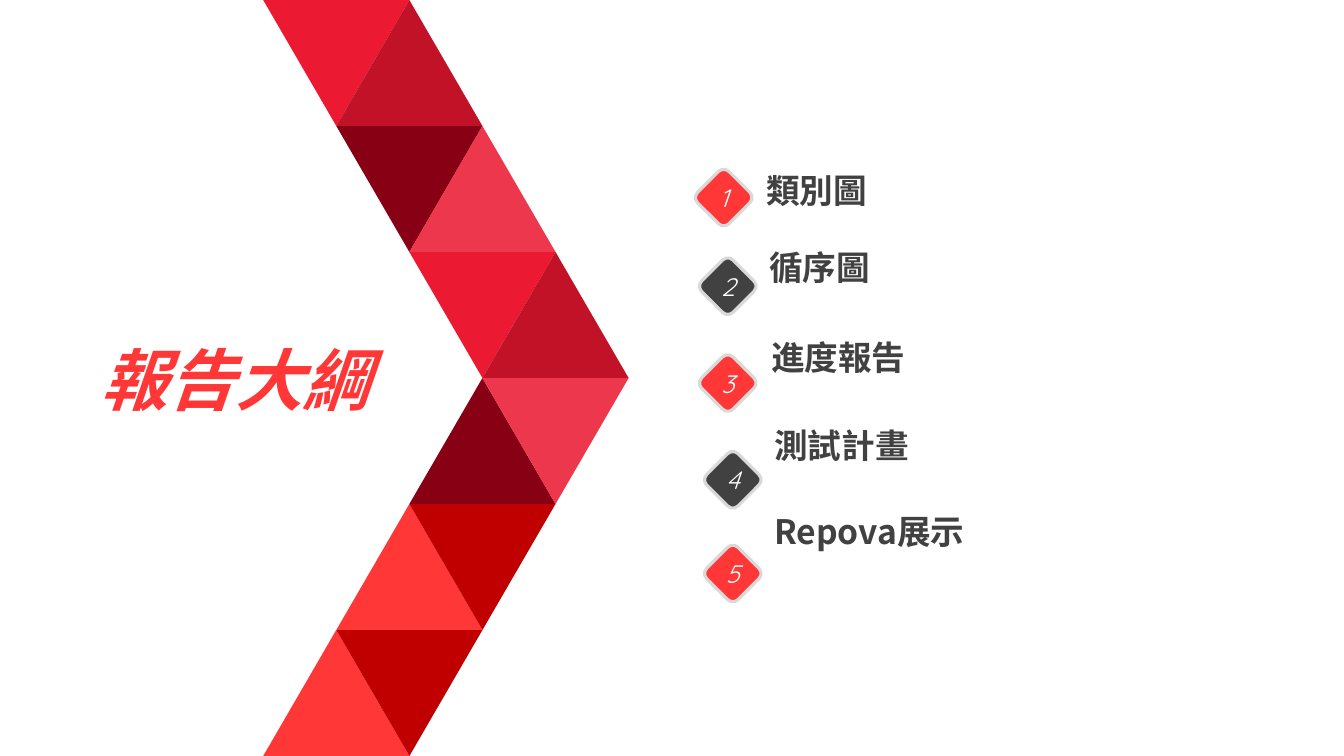
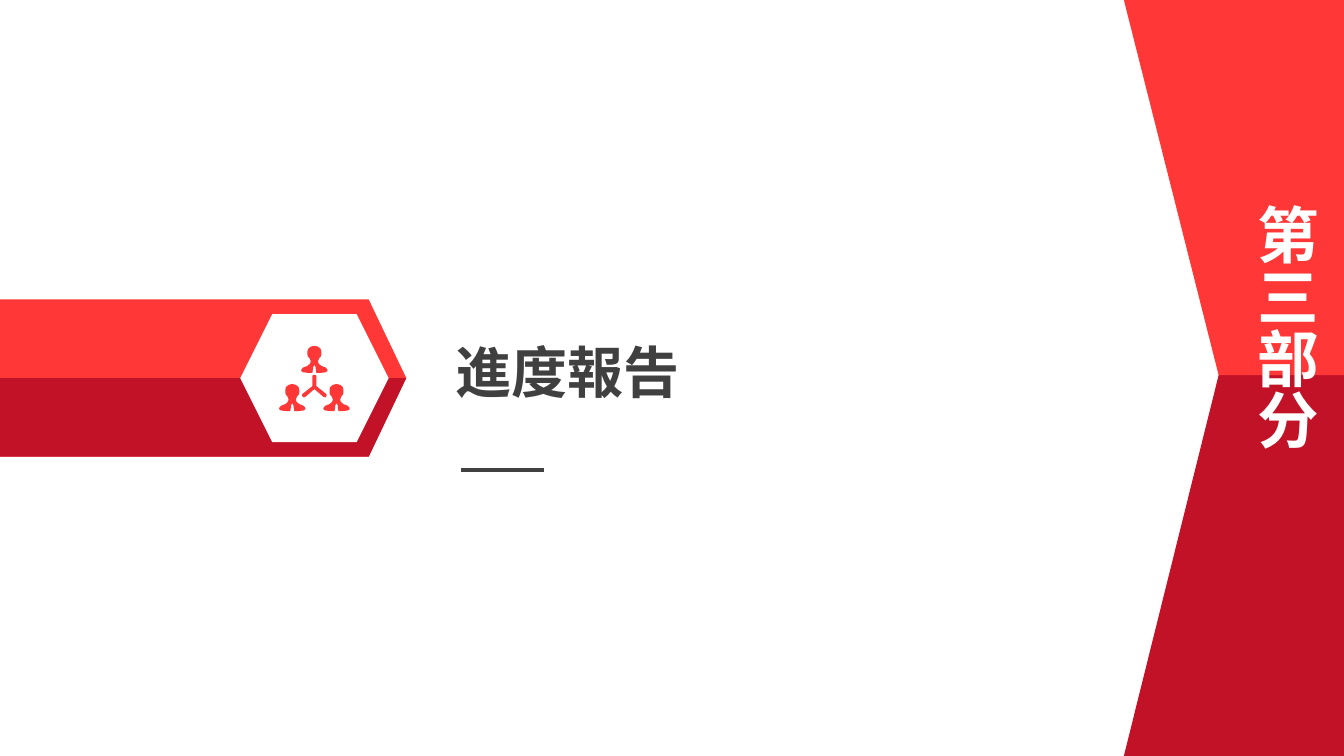
"""Build an agenda slide and a section divider with red geometric bands."""
import pptx
import pptx.dml.color
import pptx.enum.shapes
import pptx.enum.text
import pptx.oxml
import pptx.oxml.ns
import pptx.util

Pt = pptx.util.Pt
SHAPES = pptx.enum.shapes.MSO_SHAPE
ALIGN = pptx.enum.text.PP_ALIGN
ANCHOR = pptx.enum.text.MSO_ANCHOR
FIT = pptx.enum.text.MSO_AUTO_SIZE

WIDTH, HEIGHT = 960, 540
RED, CRIMSON, SCARLET = "FF3737", "C21227", "EB1932"
ROSE, MAROON, BRICK = "ED374D", "880014", "C00000"
DARK, SILVER, WHITE = "414141", "D9D9D9", "FFFFFF"
CJK, LATIN = "Noto Sans CJK SC", "Quicksand"

MOSAIC_ROWS = [(SCARLET, CRIMSON), (MAROON, ROSE), (SCARLET, CRIMSON),
               (MAROON, ROSE), (RED, BRICK), (RED, BRICK)]
TRIANGLE_WIDTH, TRIANGLE_HEIGHT, MOSAIC_LEFT = 104.4, 90, 188

AGENDA = [
    ("類別圖", 540, 118, 501.1, 125.3),
    ("循序圖", 542.2, 178.5, 504, 188.6),
    ("進度報告", 543.6, 249, 504, 257.8),
    ("測試計畫", 545.8, 317.5, 507.6, 326.9),
    ("Repova展示", 545.8, 385, 507.6, 393.8),
]
LABEL_LINE, BADGE_SIZE = 34.75, 31.7

PERSON = [(0, 0), (2.6, 0.6), (4.5, 2.2), (5, 4.3), (5, 6), (4.6, 7.6),
          (3.6, 8.6), (2.6, 10.8), (3, 12.6), (5, 14.4), (8, 15.5),
          (9.2, 16.8), (9.4, 18), (8, 18.9), (4, 19.4), (1.4, 19.4),
          (0.8, 15), (0, 13.6)]
TRIPOD = [(0, 0), (1, 0.2), (1.4, 0.8), (1.4, 8), (8.6, 13.7), (8.8, 14.9),
          (8, 16), (6.6, 15.8), (0, 10.1)]


def color(value):
    """Turn a hex string into a colour."""
    return pptx.dml.color.RGBColor.from_string(value)


def place(shape, left, top, width, height):
    """Move and size a shape, in points."""
    shape.left, shape.top = Pt(left), Pt(top)
    shape.width, shape.height = Pt(width), Pt(height)


def paint(shape, fill, line=None):
    """Give a shape a flat fill and an optional outline."""
    shape.shadow.inherit = False
    shape.fill.solid()
    shape.fill.fore_color.rgb = color(fill)
    if line:
        shape.line.color.rgb = color(line)
        shape.line.width = Pt(2.25)
    else:
        shape.line.fill.background()


def add_preset(parent, kind, bounds, fill, line=None):
    """Add a painted preset shape."""
    shape = parent.shapes.add_shape(kind, *map(Pt, bounds))
    paint(shape, fill, line)
    return shape


def add_outline(parent, contours, fill):
    """Add a painted freeform made of closed contours."""
    first, *others = [[(Pt(x), Pt(y)) for x, y in contour] for contour in contours]
    builder = parent.shapes.build_freeform(*first[0], scale=1.0)
    builder.add_line_segments(first[1:], close=True)
    for contour in others:
        builder.move_to(*contour[0])
        builder.add_line_segments(contour[1:], close=True)
    shape = builder.convert_to_shape()
    paint(shape, fill)
    return shape


def mirrored(half, center, top):
    """Complete a right half outline around a vertical axis."""
    left_half = [(-x, y) for x, y in reversed(half) if x]
    return [(center + x, top + y) for x, y in half + left_half]


def style(paragraph, size, ink, font, align=ALIGN.LEFT, bold=False, italic=False):
    """Format a paragraph and its runs."""
    paragraph.alignment = align
    for span in paragraph.runs:
        span.font.name, span.font.size = font, Pt(size)
        span.font.bold, span.font.italic = bold, italic
        span.font.color.rgb = color(ink)
        east_asian = pptx.oxml.parse_xml(
            f'<a:ea {pptx.oxml.ns.nsdecls("a")} typeface="{CJK}"/>')
        span.font._element.find(pptx.oxml.ns.qn("a:latin")).addnext(east_asian)


def set_title(page, text, bounds, size, ink, italic=False):
    """Fill and place the title placeholder."""
    title = page.shapes.title
    place(title, *bounds)
    frame = title.text_frame
    frame.text = text
    frame.word_wrap, frame.auto_size = True, FIT.NONE
    frame.vertical_anchor = ANCHOR.MIDDLE
    style(frame.paragraphs[0], size, ink, LATIN, bold=True, italic=italic)


def add_mosaic(page):
    """Draw the arrow-shaped strip of triangles."""
    mosaic = page.shapes.add_group_shape()
    half = TRIANGLE_WIDTH / 2
    last = len(MOSAIC_ROWS) - 1
    for row, fills in enumerate(MOSAIC_ROWS):
        left = MOSAIC_LEFT + half * min(row, last - row)
        for column, fill in enumerate(fills):
            bounds = (left + half * column, row * TRIANGLE_HEIGHT,
                      TRIANGLE_WIDTH, TRIANGLE_HEIGHT)
            triangle = add_preset(mosaic, SHAPES.ISOSCELES_TRIANGLE, bounds, fill)
            points_down = (row <= last // 2) == (column == 0)
            triangle.rotation = 180 if points_down else 0


def add_badge(page, number, left, top):
    """Draw a rotated square with an upright number."""
    bounds = (left, top, BADGE_SIZE, BADGE_SIZE)
    fill = RED if number % 2 else DARK
    badge = add_preset(page, SHAPES.ROUNDED_RECTANGLE, bounds, fill, SILVER)
    badge.rotation = 45
    box = page.shapes.add_textbox(*map(Pt, bounds))
    frame = box.text_frame
    frame.text = str(number)
    frame.margin_left = frame.margin_right = frame.margin_top = frame.margin_bottom = 0
    frame.word_wrap, frame.vertical_anchor = True, ANCHOR.MIDDLE
    style(frame.paragraphs[0], 18, WHITE, LATIN, ALIGN.CENTER, italic=True)


def add_agenda(page):
    """Fill the body placeholder with the agenda and add its badges."""
    body = page.placeholders[1]
    left, top = AGENDA[0][1:3]
    place(body, left, top, 294, 306)
    frame = body.text_frame
    frame.text = "\n".join(row[0] for row in AGENDA)
    frame.word_wrap, frame.auto_size = True, FIT.NONE
    frame.vertical_anchor = ANCHOR.TOP
    previous = top - LABEL_LINE
    for number, (paragraph, row) in enumerate(zip(frame.paragraphs, AGENDA), 1):
        label_left, label_top, badge_left, badge_top = row[1:]
        style(paragraph, 24, DARK, CJK, bold=True)
        paragraph.space_before = Pt(label_top - previous - LABEL_LINE)
        previous = label_top
        properties = paragraph._p.get_or_add_pPr()
        properties.set("marL", str(Pt(label_left - left)))
        properties.set("indent", "0")
        properties.append(pptx.oxml.parse_xml(
            f'<a:buNone {pptx.oxml.ns.nsdecls("a")}/>'))
        add_badge(page, number, badge_left, badge_top)


def add_pointer(page):
    """Draw the two-tone pointer with its team icon."""
    pointer = page.shapes.add_group_shape()
    plate = add_preset(pointer, SHAPES.PENTAGON, (0, 213.8, 290.2, 112.4), RED)
    plate.adjustments[0] = 0.239
    add_outline(pointer, [[(0, 270), (290.2, 270), (263.4, 326.2), (0, 326.2)]], CRIMSON)
    add_preset(pointer, SHAPES.HEXAGON, (171.6, 224.4, 106, 91.4), WHITE)
    center = 224.6
    people = [(center, 247), (center - 15.8, 274.3), (center + 15.8, 274.3)]
    contours = [mirrored(PERSON, *spot) for spot in people]
    add_outline(pointer, contours + [mirrored(TRIPOD, center, 267.8)], RED)


def add_rule(page, left, right, top):
    """Draw a horizontal line."""
    rule = page.shapes.add_connector(
        pptx.enum.shapes.MSO_CONNECTOR.STRAIGHT, Pt(left), Pt(top), Pt(right), Pt(top))
    rule.line.color.rgb = color(DARK)
    rule.line.width = Pt(3)
    rule._element.spPr.append(pptx.oxml.parse_xml(
        f'<a:effectLst {pptx.oxml.ns.nsdecls("a")}/>'))


def add_side_band(page, text):
    """Draw the notched band on the right with vertical text."""
    outer, notch, middle = 802.8, 870.5, 268
    for edge, fill in ((HEIGHT, CRIMSON), (0, RED)):
        add_outline(page, [[(notch, middle), (WIDTH, middle),
                            (WIDTH, edge), (outer, edge)]], fill)
    box = page.shapes.add_textbox(Pt(880.6), Pt(139), Pt(67.7), Pt(262))
    frame = box.text_frame
    frame.text = text
    frame.word_wrap, frame.auto_size = True, FIT.SHAPE_TO_FIT_TEXT
    frame._txBody.bodyPr.set("vert", "eaVert")
    style(frame.paragraphs[0], 44, WHITE, CJK, ALIGN.JUSTIFY, bold=True)


def main():
    """Build and save the deck."""
    deck = pptx.Presentation()
    deck.slide_width, deck.slide_height = Pt(WIDTH), Pt(HEIGHT)

    outline = deck.slides.add_slide(deck.slide_layouts[1])
    add_mosaic(outline)
    set_title(outline, "報告大綱", (64.8, 237.6, 296.6, 65.5), 48, RED, italic=True)
    add_agenda(outline)

    section = deck.slides.add_slide(deck.slide_layouts[5])
    add_pointer(section)
    set_title(section, "進度報告", (318.2, 237.6, 200, 55.4), 40, "404040")
    add_rule(section, 329, 388.8, 335.5)
    add_side_band(section, "第三部分")

    deck.save("out.pptx")


if __name__ == "__main__":
    main()
